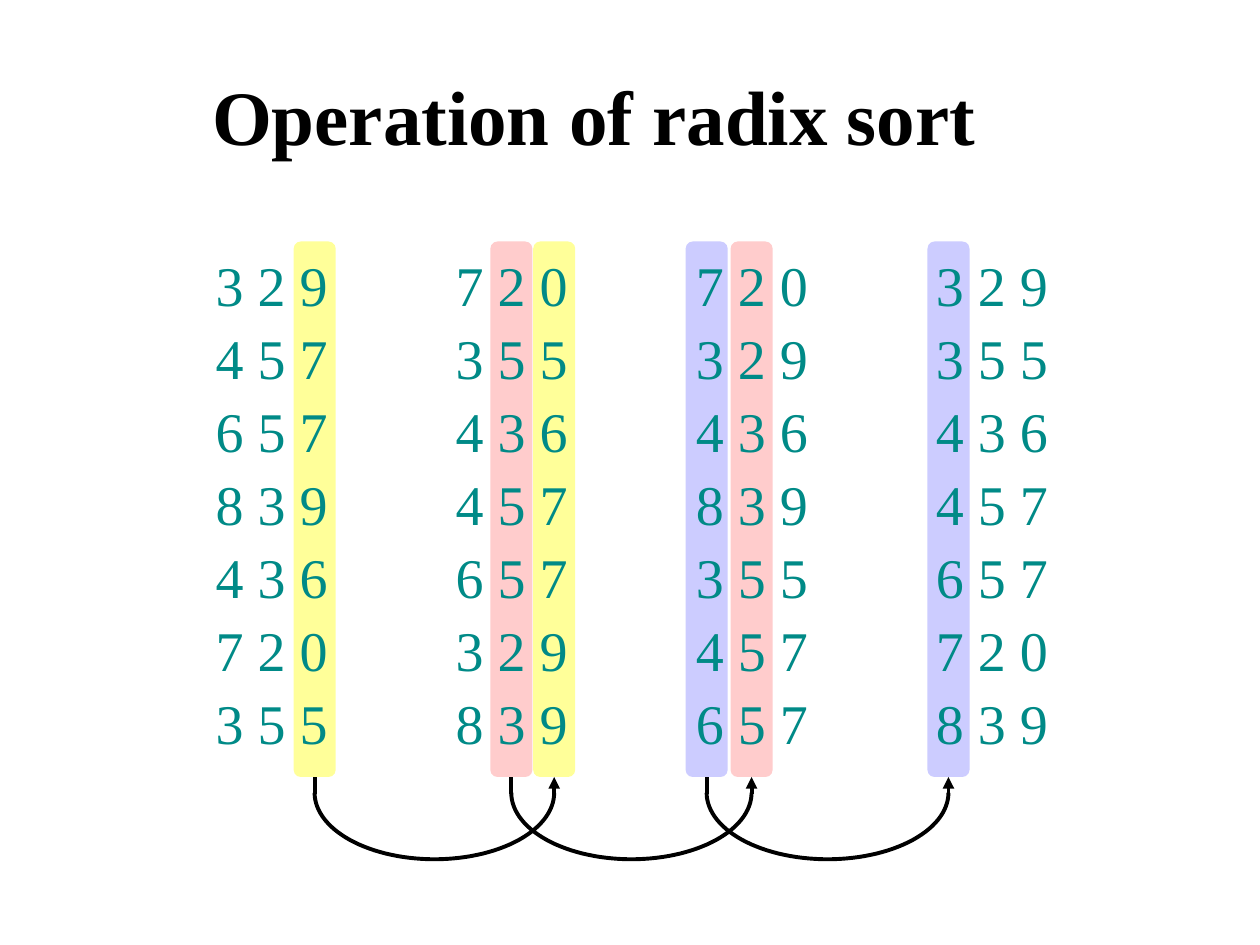
from math import cos, pi, sin
from lxml.etree import SubElement
from pptx import Presentation
from pptx.dml.color import RGBColor
from pptx.enum.shapes import MSO_CONNECTOR, MSO_SHAPE
from pptx.enum.text import MSO_ANCHOR, MSO_AUTO_SIZE, PP_ALIGN
from pptx.oxml.ns import qn
from pptx.util import Pt

TITLE = "Operation of radix sort"
COLUMNS = [
    ["3 2 9", "4 5 7", "6 5 7", "8 3 9", "4 3 6", "7 2 0", "3 5 5"],
    ["7 2 0", "3 5 5", "4 3 6", "4 5 7", "6 5 7", "3 2 9", "8 3 9"],
    ["7 2 0", "3 2 9", "4 3 6", "8 3 9", "3 5 5", "4 5 7", "6 5 7"],
    ["3 2 9", "3 5 5", "4 3 6", "4 5 7", "6 5 7", "7 2 0", "8 3 9"],
]
# Each sorting pass: digit colour, left of the bar before and after it.
PASSES = [("units", 167.8, 304.7), ("tens", 280.2, 417.5), ("hundreds", 391.8, 530)]
COLORS = {
    "title": "000000",
    "number": "008A87",
    "arrow": "000000",
    "units": "FFFF99",
    "tens": "FFCCCC",
    "hundreds": "CCCCFF",
}
FONT = "Times New Roman"
COLUMN_LEFT, COLUMN_STEP = 116, 137.2
ROW_TOP, ROW_STEP = 139.7, 41.7
NUMBER_WIDTH, NUMBER_HEIGHT = 78.5, 46
BAR_TOP, BAR_WIDTH, BAR_HEIGHT = 138, 24, 306
BAR_BOTTOM = BAR_TOP + BAR_HEIGHT
STEM_HEIGHT, ARC_TOP, ARC_HEIGHT, ARC_STEPS = 10, 453, 38, 60


def color(name):
    return RGBColor.from_string(COLORS[name])


def set_font(paragraph, size, color_name, bold=False):
    font = paragraph.font
    font.name, font.size, font.bold = FONT, Pt(size), bold
    font.color.rgb = color(color_name)


def add_title(slide):
    title = slide.shapes.title
    title.left, title.top, title.width, title.height = Pt(114), Pt(24), Pt(594), Pt(90)
    title.text_frame.text = TITLE
    title.text_frame.vertical_anchor = MSO_ANCHOR.MIDDLE
    paragraph = title.text_frame.paragraphs[0]
    paragraph.alignment = PP_ALIGN.LEFT
    paragraph.line_spacing = 0.9
    set_font(paragraph, 44, "title", bold=True)


def add_bar(slide, left, color_name):
    bar = slide.shapes.add_shape(MSO_SHAPE.ROUNDED_RECTANGLE, Pt(left), Pt(BAR_TOP),
                                 Pt(BAR_WIDTH), Pt(BAR_HEIGHT))
    bar.adjustments[0] = 0.17
    bar.shadow.inherit = False
    bar.fill.solid()
    bar.fill.fore_color.rgb = color(color_name)
    bar.line.fill.background()
    return bar


def add_column(slide, left, numbers):
    group = slide.shapes.add_group_shape()
    for row, number in enumerate(numbers):
        box = group.shapes.add_textbox(Pt(left), Pt(ROW_TOP + row * ROW_STEP),
                                       Pt(NUMBER_WIDTH), Pt(NUMBER_HEIGHT))
        frame = box.text_frame
        frame.word_wrap = False
        frame.auto_size = MSO_AUTO_SIZE.SHAPE_TO_FIT_TEXT
        frame.text = number
        paragraph = frame.paragraphs[0]
        paragraph.alignment = PP_ALIGN.CENTER
        set_font(paragraph, 32, "number")


def set_line(shape):
    shape.line.color.rgb = color("arrow")
    shape.line.width = Pt(2.25)


def add_stem(group, x, bar):
    stem = group.shapes.add_connector(MSO_CONNECTOR.STRAIGHT, Pt(x), Pt(BAR_BOTTOM + STEM_HEIGHT),
                                      Pt(x), Pt(BAR_BOTTOM))
    stem.end_connect(bar, 2)
    set_line(stem)
    SubElement(stem._element.spPr, qn("a:effectLst"))
    return stem


def add_arrow(slide, start, start_bar, end, end_bar):
    group = slide.shapes.add_group_shape()
    center, radius = (start + end) / 2, (end - start) / 2
    angles = [pi * step / ARC_STEPS for step in range(ARC_STEPS + 1)]
    points = [(Pt(center - radius * cos(angle)), Pt(ARC_TOP + ARC_HEIGHT * sin(angle)))
              for angle in angles]
    builder = group.shapes.build_freeform(*points[0])
    builder.add_line_segments(points[1:], close=False)
    arc = builder.convert_to_shape()
    arc.shadow.inherit = False
    arc.fill.background()
    set_line(arc)
    add_stem(group, start, start_bar)
    head_stem = add_stem(group, end, end_bar)
    SubElement(head_stem.line._get_or_add_ln(), qn("a:tailEnd"), type="triangle")


def main():
    """Build the radix sort slide."""
    presentation = Presentation()
    presentation.slide_width, presentation.slide_height = Pt(720), Pt(540)
    slide = presentation.slides.add_slide(presentation.slide_layouts[5])
    add_title(slide)
    bars = [(add_bar(slide, before, name), add_bar(slide, after, name))
            for name, before, after in PASSES]
    for index, numbers in enumerate(COLUMNS):
        add_column(slide, COLUMN_LEFT + index * COLUMN_STEP, numbers)
    for (_, before, after), (start_bar, end_bar) in zip(PASSES, bars):
        add_arrow(slide, before + BAR_WIDTH / 2, start_bar, after + BAR_WIDTH / 2, end_bar)
    presentation.save("out.pptx")


if __name__ == "__main__":
    main()
